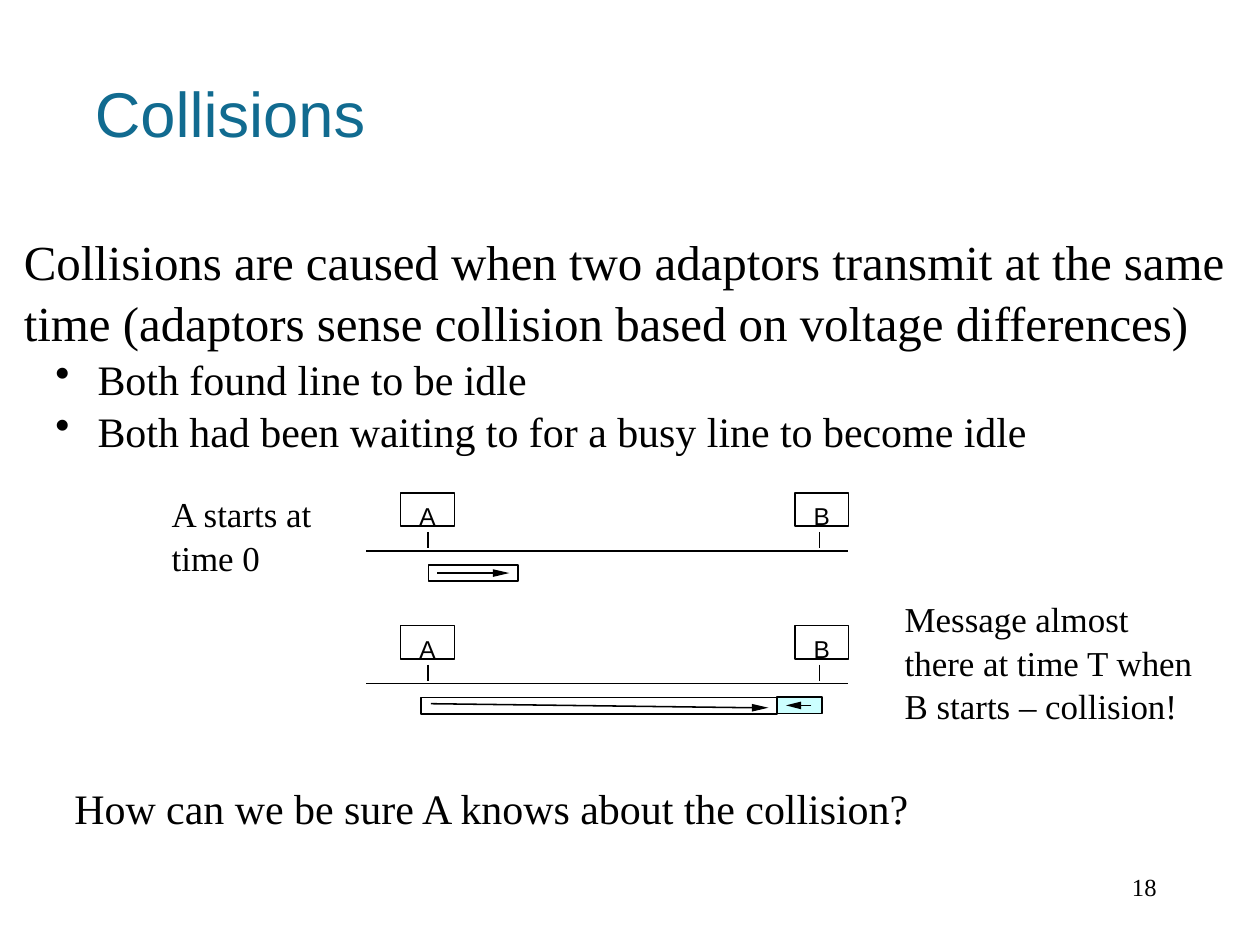
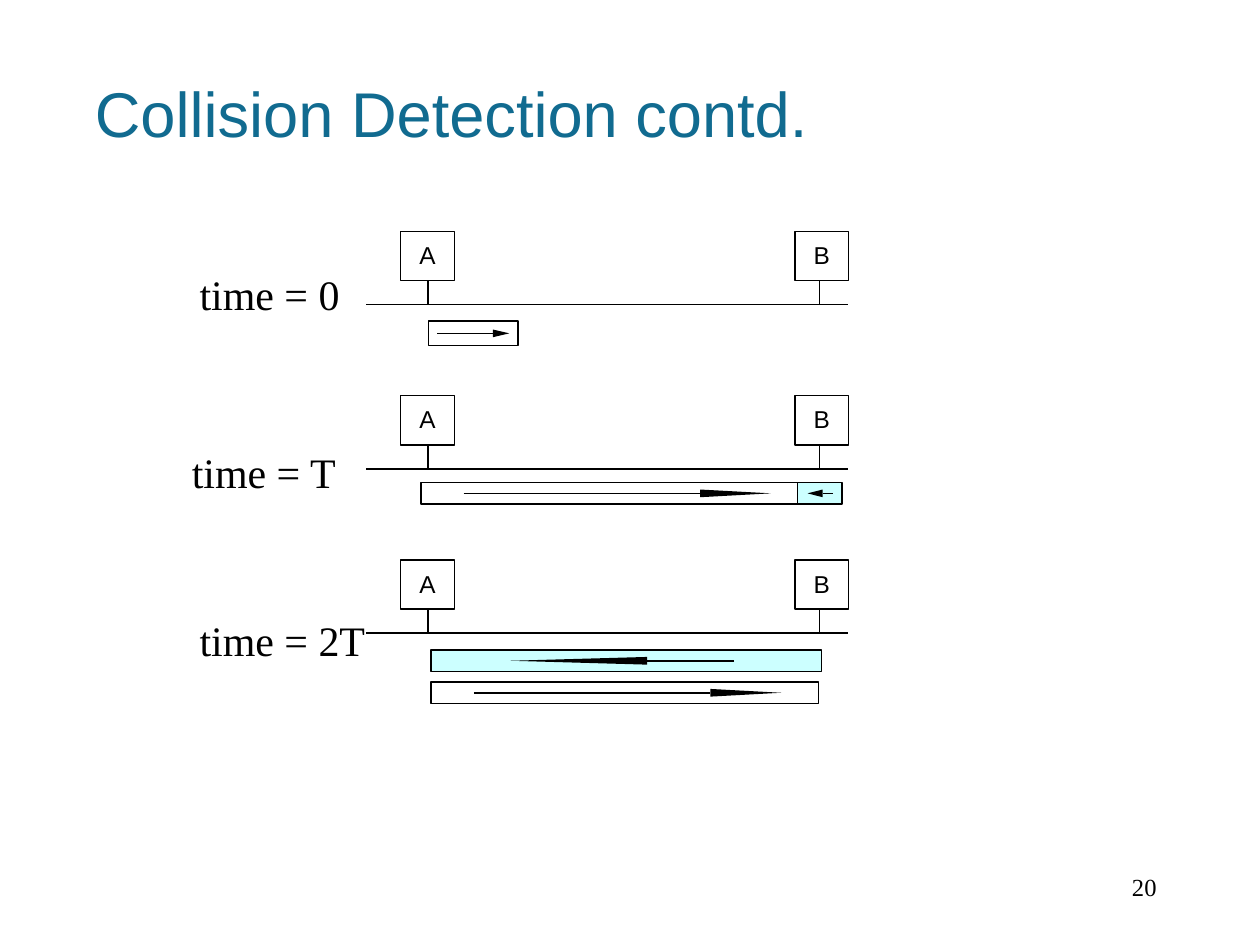
import pptx
import pptx.util
import pptx.dml.color
import pptx.enum.shapes
import pptx.enum.text
import lxml.etree

Pt = pptx.util.Pt
RGB = pptx.dml.color.RGBColor.from_string
ALIGN = pptx.enum.text.PP_ALIGN
TOP = pptx.enum.text.MSO_ANCHOR.TOP
RECTANGLE = pptx.enum.shapes.MSO_SHAPE.RECTANGLE
STRAIGHT = pptx.enum.shapes.MSO_CONNECTOR.STRAIGHT
DRAWING_NS = "http://schemas.openxmlformats.org/drawingml/2006/main"
COLORS = {"title": "116B90", "ink": "000000", "reply": "CCFFFF"}
SERIF, SANS = "Times New Roman", "Arial"
STROKE = 0.88

# Wire diagram: columns shared by every row
NODES = [("A", 228.2, 243.7), ("B", 452.8, 466.8)]  # label, box left, stub x
NODE_WIDTH = 30.7
BUS_LEFT, BUS_RIGHT = 208.8, 483.1
HEAD_HALF = 2.2

# Packets: left, top, width, height, fill, arrow tail, arrow tip, head length, tail lift
# Notes: left, top, width, size, lines
SLIDES = [
    {
        "title": "Collisions", "number": "18",
        "row_tops": [280.8, 356.4], "node_height": 19, "stub": (22.3, 31.7), "bus": 33.1,
        "packets": [
            (244.1, 321.8, 51.1, 9.4, None, 249.1, 290.2, 9.4, 0),
            (239.8, 397.4, 203, 9.4, None, 245.5, 437.8, 9.4, 2.3),
            (442.8, 397.2, 25.5, 9.4, "reply", 462.2, 447.8, 8.6, 0),
        ],
        "notes": [
            (90.7, 276.3, 110, 19.9, ["A starts at", "time 0"]),
            (508.3, 336.1, 190, 19.9,
             ["Message almost", "there at time T when", "B starts – collision!"]),
            (35.3, 441.2, 520, 23.9, ["How can we be sure A knows about the collision?"]),
        ],
    },
    {
        "title": "Collision Detection contd.", "number": "20",
        "row_tops": [131.8, 225.4, 319], "node_height": 28.1, "stub": (28.1, 41.7), "bus": 41.7,
        "packets": [
            (244.1, 183, 51.1, 13.9, None, 249.1, 290.2, 9.4, 0),
            (239.8, 275, 221, 12.2, None, 264.2, 439.2, 40.3, 0),
            (454.3, 275, 25.4, 12.2, "reply", 474.5, 460.1, 8.6, 0),
            (245.5, 370.4, 222.5, 12.2, "reply", 418.3, 290.9, 77.8, 0),
            (245.5, 388.6, 221, 12.2, None, 270, 445, 40.3, 0),
        ],
        "notes": [
            (106.6, 148.2, 120, 23.9, ["time = 0"]),
            (102.2, 249.7, 120, 23.9, ["time = T"]),
            (106.6, 345.5, 120, 23.9, ["time = 2T"]),
        ],
    },
]


def add_text(slide, left, top, width, size, lines, align=ALIGN.LEFT):
    line_height = 1.2 * size
    box = slide.shapes.add_textbox(Pt(left), Pt(top), Pt(width),
                                   Pt(line_height * len(lines) + 7.2))
    box.text_frame.word_wrap = True
    box.text_frame.text = "\n".join(lines)
    for paragraph in box.text_frame.paragraphs:
        paragraph.alignment = align
        paragraph.line_spacing = 1.04
        paragraph.font.size = Pt(size)
        paragraph.font.name = SERIF
        paragraph.font.color.rgb = RGB(COLORS["ink"])
    return box.text_frame


def add_line(slide, x1, y1, x2, y2):
    line = slide.shapes.add_connector(STRAIGHT, Pt(x1), Pt(y1), Pt(x2), Pt(y2))
    line.line.color.rgb = RGB(COLORS["ink"])
    line.line.width = Pt(STROKE)
    lxml.etree.SubElement(line._element.spPr, f"{{{DRAWING_NS}}}effectLst")


deck = pptx.Presentation()
deck.slide_width, deck.slide_height = Pt(717.84), Pt(537.84)

for content in SLIDES:
    slide = deck.slides.add_slide(deck.slide_layouts[5])

    # Title
    title = slide.shapes.title
    title.left, title.top, title.width, title.height = Pt(54), Pt(47.5), Pt(610), Pt(77.8)
    frame = title.text_frame
    frame.text = content["title"]
    frame.auto_size = pptx.enum.text.MSO_AUTO_SIZE.NONE
    frame.vertical_anchor = TOP
    frame.margin_left = frame.margin_right = frame.margin_top = frame.margin_bottom = 0
    heading = frame.paragraphs[0]
    heading.alignment = ALIGN.LEFT
    heading.line_spacing = 0.9
    heading.font.size = Pt(36)
    heading.font.name = SANS
    heading.font.color.rgb = RGB(COLORS["title"])

    # Slide number
    add_text(slide, 516.2, 492.6, 149.8, 14, [content["number"]], ALIGN.RIGHT)

    # Stations on the wire
    for row_top in content["row_tops"]:
        for label, node_left, stub_x in NODES:
            node = slide.shapes.add_shape(RECTANGLE, Pt(node_left), Pt(row_top),
                                          Pt(NODE_WIDTH), Pt(content["node_height"]))
            node.shadow.inherit = False
            node.fill.background()
            node.line.color.rgb = RGB(COLORS["ink"])
            node.line.width = Pt(STROKE)
            frame = node.text_frame
            frame.text = label
            frame.vertical_anchor = TOP
            frame.margin_left = frame.margin_right = frame.margin_bottom = 0
            frame.margin_top = Pt(5)
            name = frame.paragraphs[0]
            name.alignment = ALIGN.CENTER
            name.font.size = Pt(13.9)
            name.font.name = SANS
            name.font.color.rgb = RGB(COLORS["ink"])
            stub_start, stub_end = content["stub"]
            add_line(slide, stub_x, row_top + stub_start, stub_x, row_top + stub_end)
        bus_y = row_top + content["bus"]
        add_line(slide, BUS_LEFT, bus_y, BUS_RIGHT, bus_y)

    # Packets with their direction arrows
    for left, top, width, height, fill, tail, tip, head_length, lift in content["packets"]:
        packet = slide.shapes.add_shape(RECTANGLE, Pt(left), Pt(top), Pt(width), Pt(height))
        packet.shadow.inherit = False
        packet.line.color.rgb = RGB(COLORS["ink"])
        packet.line.width = Pt(STROKE)
        if fill:
            packet.fill.solid()
            packet.fill.fore_color.rgb = RGB(COLORS[fill])
        else:
            packet.fill.background()
        middle = top + height / 2
        head_base = tip - head_length if tip > tail else tip + head_length
        tip_y = middle + lift / 2
        add_line(slide, tail, middle - lift / 2, head_base, tip_y)
        outline = slide.shapes.build_freeform(Pt(tip), Pt(tip_y))
        outline.add_line_segments([(Pt(head_base), Pt(tip_y - HEAD_HALF)),
                                   (Pt(head_base), Pt(tip_y + HEAD_HALF))], close=True)
        head = outline.convert_to_shape()
        head.shadow.inherit = False
        head.fill.solid()
        head.fill.fore_color.rgb = RGB(COLORS["ink"])
        head.line.fill.background()

    # Notes beside the wires
    for note in content["notes"]:
        add_text(slide, *note)

# Explanation on the first slide: two lead lines, then bullets
explanation = add_text(deck.slides[0], 6.5, 127, 711, 27.9, [
    "Collisions are caused when two adaptors transmit at the same",
    "time (adaptors sense collision based on voltage differences)",
    "Both found line to be idle",
    "Both had been waiting to for a busy line to become idle",
])
for reason in explanation.paragraphs[2:]:
    reason.font.size = Pt(23.9)
    properties = reason._p.get_or_add_pPr()
    properties.set("marL", str(Pt(42)))
    properties.set("indent", str(-Pt(24)))
    lxml.etree.SubElement(properties, f"{{{DRAWING_NS}}}buChar", char="•")
    properties.append(properties.find(f"{{{DRAWING_NS}}}defRPr"))

deck.save("out.pptx")
